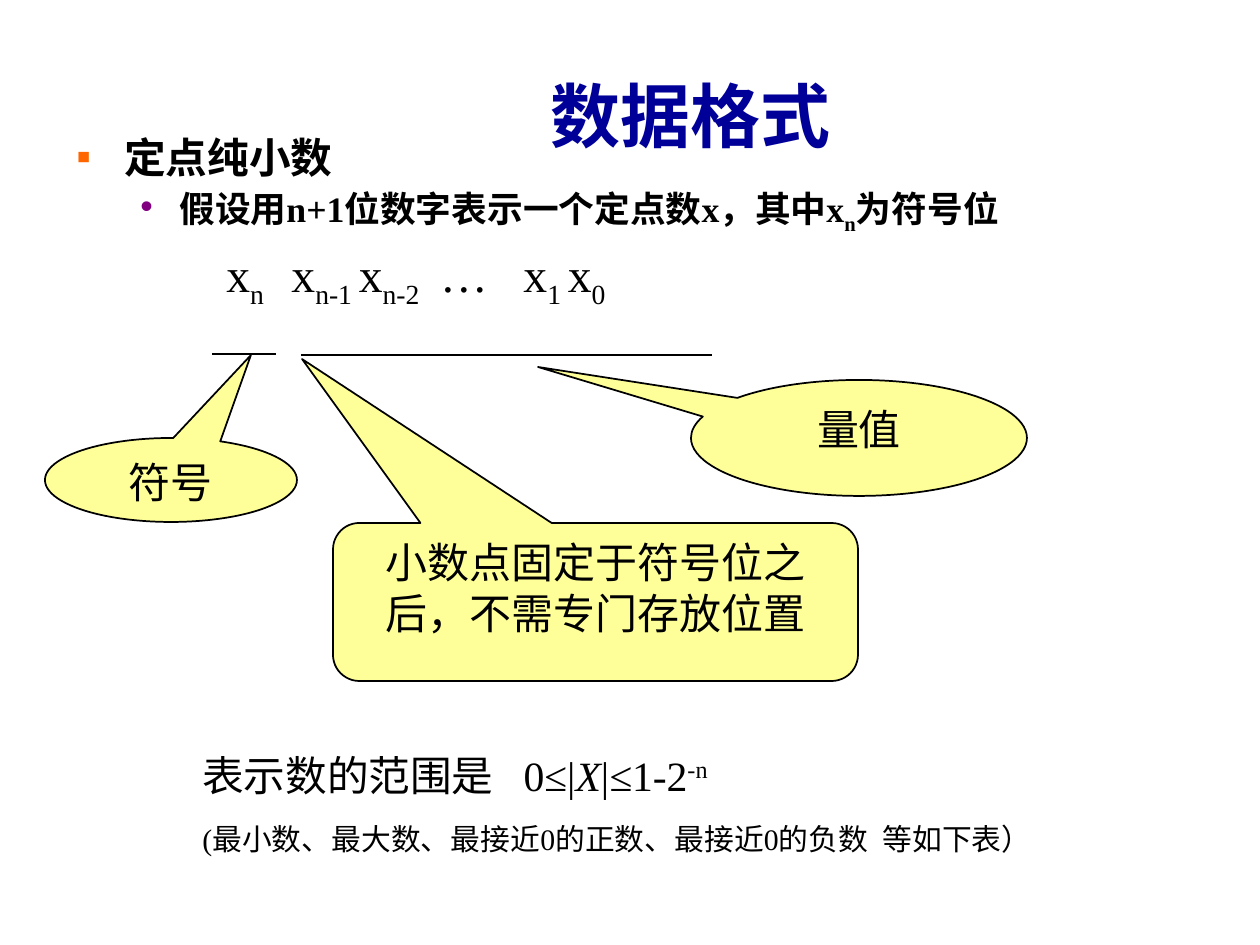
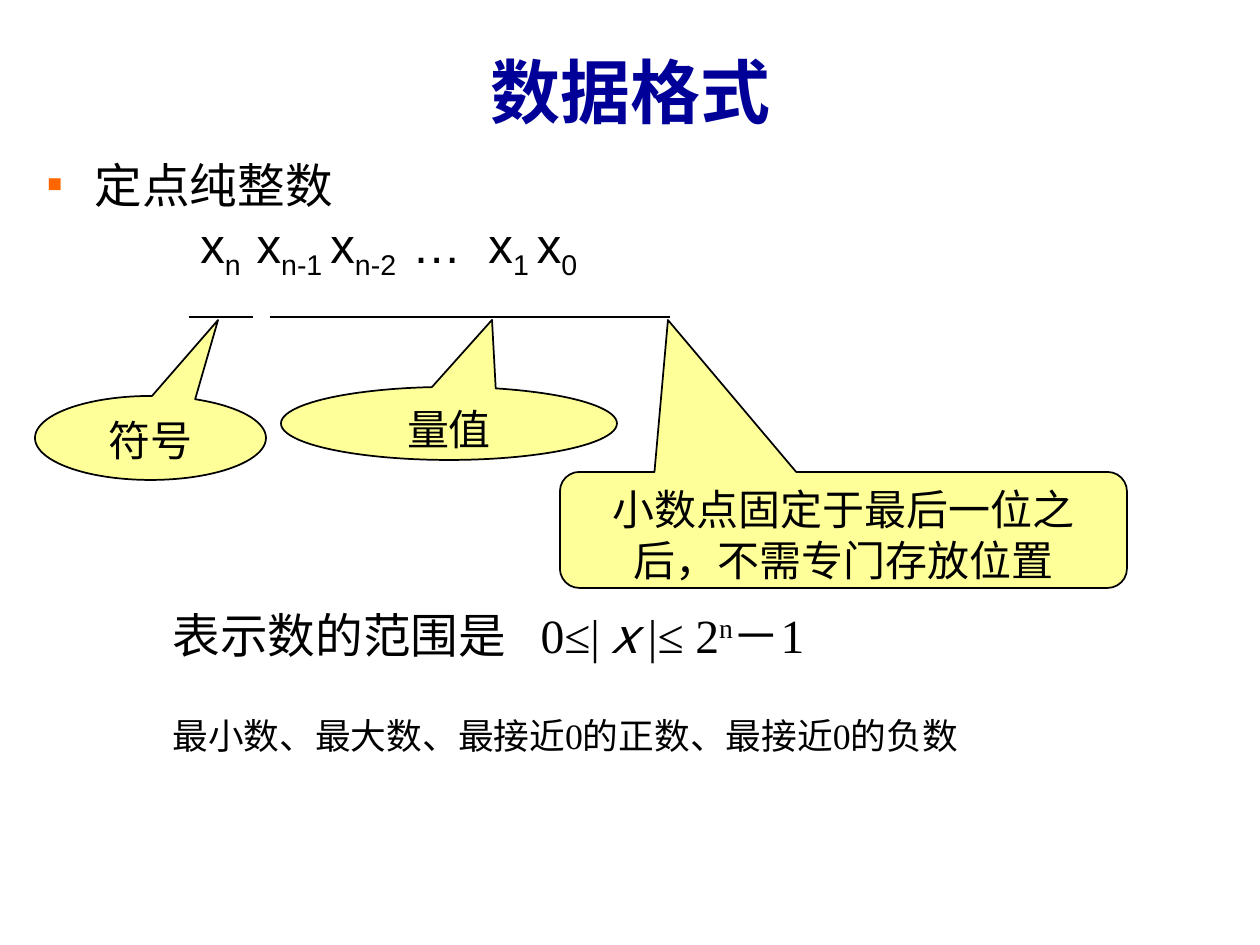
from lxml import etree
from pptx import Presentation
from pptx import util as u
from pptx.dml.color import RGBColor
from pptx.enum import shapes, text
from pptx.oxml.ns import qn

PX_PER_INCH = 126
SERIF, SANS = "Times New Roman", "Arial"
BLACK, NAVY, YELLOW = "000000", "000099", "FFFF99"
ORANGE, PURPLE = "FF6600", "800080"
SUB, SUP, ITALIC = "sub", "sup", "italic"
BASELINES = {SUB: "-25000", SUP: "30000"}
INSET = 12  # side inset of a text box


def px(length):
    return u.Emu(round(length * 914400 / PX_PER_INCH))


def colour(value):
    return RGBColor.from_string(value)


def add_spans(para, spans, size, font=SERIF, hue=BLACK, bold=False):
    """Add runs; a span is a string or (string, style, extra letter spacing in points)."""
    for item in spans:
        words, style, extra = ((item,) if isinstance(item, str) else item) + (None, 0)[
            (1 if isinstance(item, str) else len(item)) - 1:]
        span = para.add_run()
        span.text = words
        span.font.size = u.Pt(size)
        span.font.name = font
        span.font.bold = bold
        span.font.italic = style == ITALIC
        span.font.color.rgb = colour(hue)
        props = span._r.get_or_add_rPr()
        if style in BASELINES:
            props.set("baseline", BASELINES[style])
        if extra:
            props.set("spc", str(round(extra * 100)))


def set_indent(para, margin, hanging=0, bullet=None):
    """Set the left margin and an optional (character, colour) bullet."""
    props = para._p.get_or_add_pPr()
    props.set("marL", str(px(margin)))
    props.set("indent", str(-px(hanging)))
    if bullet:
        char, hue = bullet
        tint = etree.SubElement(props, qn("a:buClr"))
        etree.SubElement(tint, qn("a:srgbClr"), val=hue)
        etree.SubElement(props, qn("a:buFont"), typeface=SANS)
        etree.SubElement(props, qn("a:buChar"), char=char)


def add_title(page, words, left, top, width, height, anchor):
    title = page.shapes.title
    title.left, title.top, title.width, title.height = map(px, (left, top, width, height))
    frame = title.text_frame
    frame.auto_size = text.MSO_AUTO_SIZE.NONE
    frame.vertical_anchor = anchor
    para = frame.paragraphs[0]
    para.alignment = text.PP_ALIGN.CENTER
    add_spans(para, [words], 40, hue=NAVY, bold=True)


def add_body(page, left, top, width, height):
    """Return a function that adds one paragraph to a new text box."""
    box = page.shapes.add_textbox(*map(px, (left, top, width, height)))
    frame = box.text_frame
    frame.word_wrap = True
    unused = [frame.paragraphs[0]]

    def add_para(spans, size, margin, before=0, spacing=0.8, hanging=0,
                 bullet=None, font=SERIF, bold=False):
        para = unused.pop() if unused else frame.add_paragraph()
        set_indent(para, margin, hanging, bullet)
        para.line_spacing = spacing
        para.space_before = u.Pt(before)
        add_spans(para, spans, size, font, bold=bold)

    return add_para


def digit_spans(after_sign, before_dots, after_dots):
    """Digits x_n ... x_0, with the extra points that widen three of the gaps."""
    return ["x", ("n", SUB), (" ", SUB, after_sign), "x", ("n-1 ", SUB),
            "x", ("n-2", SUB), (" ", SUB, before_dots), "…", (" ", None, after_dots),
            "x", ("1 ", SUB), "x", ("0", SUB)]


def add_rule(page, start, end, y):
    rule = page.shapes.add_connector(
        shapes.MSO_CONNECTOR.STRAIGHT, px(start), px(y), px(end), px(y))
    rule.line.color.rgb = colour(BLACK)
    rule.line.width = u.Pt(1)
    etree.SubElement(rule._element.spPr, qn("a:effectLst"))


def add_callout(page, kind, words, left, top, width, height, tip):
    """Add a callout whose pointer ends at tip (x, y)."""
    callout = page.shapes.add_shape(kind, *map(px, (left, top, width, height)))
    callout.adjustments[0] = (tip[0] - left) / width - 0.5
    callout.adjustments[1] = (tip[1] - top) / height - 0.5
    callout.shadow.inherit = False
    callout.fill.solid()
    callout.fill.fore_color.rgb = colour(YELLOW)
    callout.line.color.rgb = colour(BLACK)
    callout.line.width = u.Pt(1)
    frame = callout.text_frame
    frame.word_wrap = True
    frame.vertical_anchor = text.MSO_ANCHOR.TOP
    para = frame.paragraphs[0]
    para.alignment = text.PP_ALIGN.CENTER
    para._p.get_or_add_pPr().set("hangingPunct", "0")
    add_spans(para, [words], 24)


def build_fraction_page(page):
    add_title(page, "数据格式", 332, 66, 717, 97, text.MSO_ANCHOR.TOP)
    left = 64
    add_para = add_body(page, left, 135, 1142, 725)
    add_para(["定点纯小数"], 23.8, 48, hanging=48, bullet=("▪", ORANGE), bold=True)
    add_para(["假设用n+1位数字表示一个定点数x，其中x", ("n", SUB), "为符号位"],
             20.4, 103, before=6, hanging=39, bullet=("•", PURPLE), bold=True)
    add_para(digit_spans(11.8, 7.9, 13.6), 27.2, 226 - left - INSET, before=8, spacing=1)
    add_para(["表示数的范围是", (" ", None, 11.9), "0≤|", ("X", ITALIC), "|",
              ("≤", ITALIC), "1-2", ("-n", SUP)], 23.8, 126, before=257)
    add_para(["(最小数、最大数、最接近0的正数、最接近0的负数", (" ", None, 4.25),
              "等如下表）"], 17, 126, before=16)

    add_rule(page, 212, 276, 354)
    add_rule(page, 301, 712, 355)
    oval = shapes.MSO_SHAPE.OVAL_CALLOUT
    add_callout(page, oval, "符号", 45, 438, 252, 84, (251, 355))
    add_callout(page, oval, "量值", 691, 380, 336, 116, (538, 367))
    add_callout(page, shapes.MSO_SHAPE.ROUNDED_RECTANGULAR_CALLOUT,
                "小数点固定于符号位之后，不需专门存放位置", 333, 523, 525, 158, (302, 359))


def build_integer_page(page):
    add_title(page, "数据格式", 42, 35, 1177, 110, text.MSO_ANCHOR.MIDDLE)
    left = 34
    add_para = add_body(page, left, 165, 1181, 669)
    add_para(["定点纯整数"], 27.2, 48, spacing=0.7, hanging=48, bullet=("▪", ORANGE))
    add_para(digit_spans(4.5, 4.5, 7.8), 28.1, 200 - left - INSET, before=8.5,
             spacing=0.7, font=SANS)
    add_para(["表示数的范围是", (" ", None, 13.6), "0≤|", ("ｘ", ITALIC), "|",
              ("≤ ", ITALIC), "2", ("n", SUP), "－1"], 27.2, 126, before=199, spacing=0.7)
    add_para(["最小数、最大数、最接近0的正数、最接近0的负数"], 20.4, 126, before=36.5, spacing=0.7)

    add_rule(page, 189, 253, 317)
    add_rule(page, 270, 670, 317)
    oval = shapes.MSO_SHAPE.OVAL_CALLOUT
    add_callout(page, oval, "符号", 35, 396, 231, 84, (218, 320))
    add_callout(page, oval, "量值", 281, 387, 336, 73, (492, 320))
    add_callout(page, shapes.MSO_SHAPE.ROUNDED_RECTANGULAR_CALLOUT,
                "小数点固定于最后一位之后，不需专门存放位置", 560, 472, 567, 116, (668, 320))


def main():
    deck = Presentation()
    deck.slide_width, deck.slide_height = px(1260), px(945)
    title_only = deck.slide_layouts[5]
    for build_page in (build_fraction_page, build_integer_page):
        build_page(deck.slides.add_slide(title_only))
    deck.save("out.pptx")


if __name__ == "__main__":
    main()
